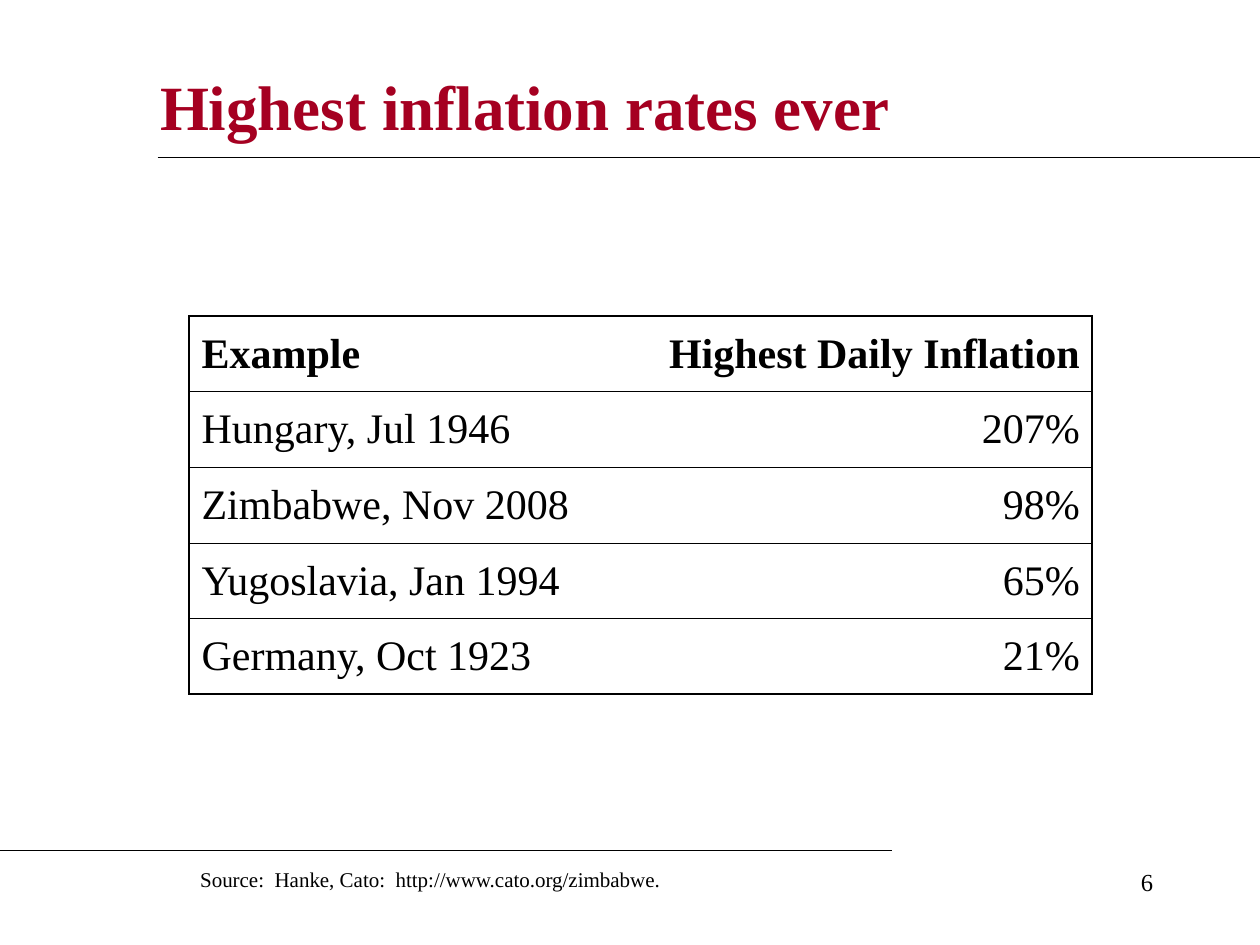
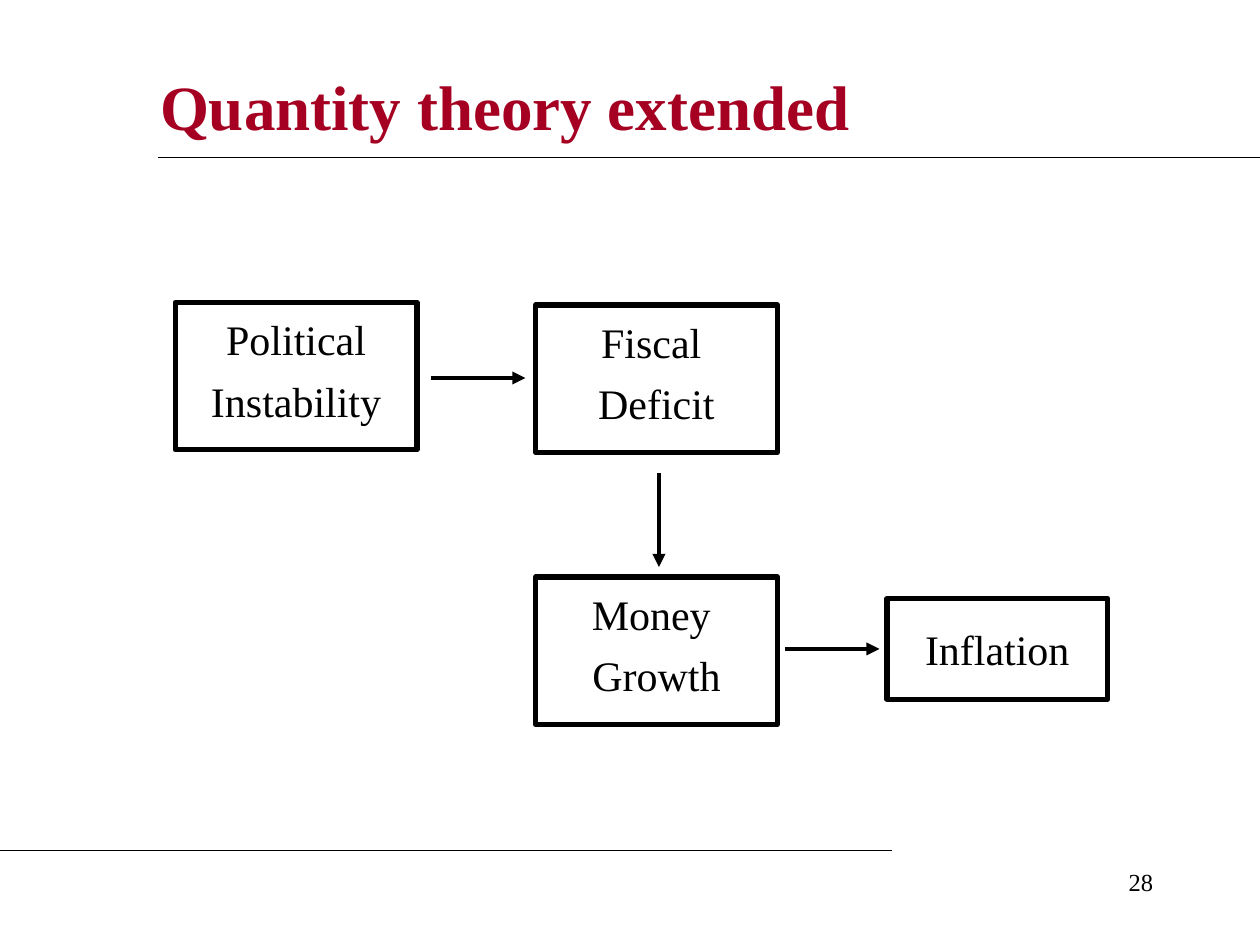
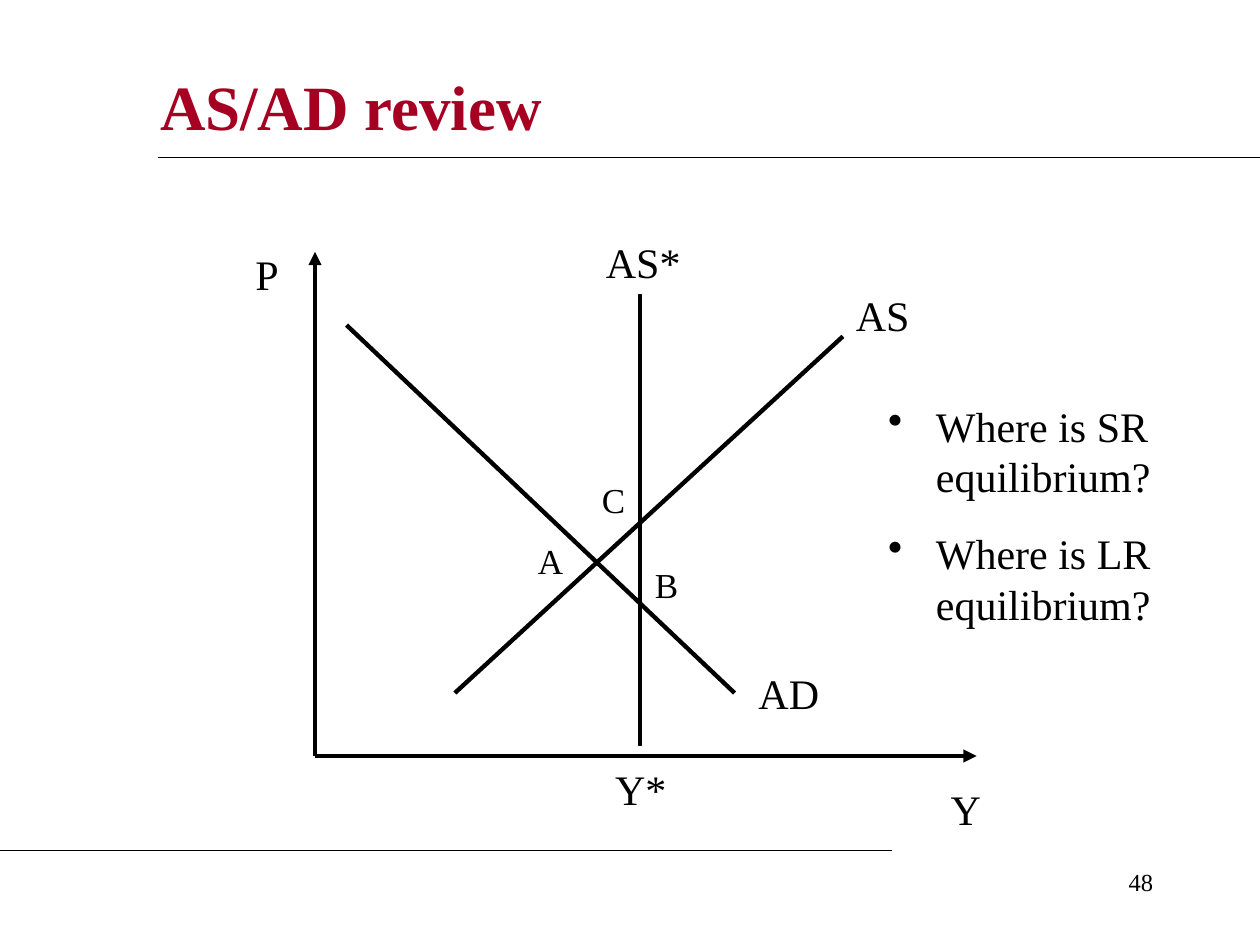
from pptx import Presentation
from pptx.dml.color import RGBColor
from pptx.enum.shapes import MSO_CONNECTOR, MSO_SHAPE
from pptx.enum.text import MSO_ANCHOR as ANCHOR, MSO_AUTO_SIZE, PP_ALIGN as ALIGN
from pptx.oxml.ns import qn
from pptx.util import Inches, Pt
from lxml.etree import SubElement


def rgb(color):
    return RGBColor.from_string(color)


class Deck:
    FONT = "Times New Roman"
    INK = "000000"
    ACCENT = "A50021"

    def __init__(self):
        self.prs = Presentation()
        self.prs.slide_width, self.prs.slide_height = Inches(10), Inches(7.5)

    def slide(self, title, number):
        self.s = self.prs.slides.add_slide(self.prs.slide_layouts[5])
        sp = self.s.shapes.title
        sp.left, sp.top, sp.width, sp.height = map(Inches, (1.17, 0.42, 8.08, 0.83))
        sp.text_frame.auto_size = MSO_AUTO_SIZE.NONE
        sp.text_frame.vertical_anchor = ANCHOR.MIDDLE
        self.fill_text(sp.text_frame, [title], 36, ALIGN.LEFT, self.ACCENT, True)
        self.line((1.25, 1.25), (10, 1.25), 0.75)
        self.line((0, 6.75), (7.08, 6.75), 0.75)
        self.text(str(number), 7.17, 6.83, 2.08, 0.5, 14, ALIGN.RIGHT)

    def fill_text(self, tf, lines, size, align, color=INK, bold=False, bullet=False, spacing=None):
        tf.word_wrap = True
        for i, line in enumerate(lines):
            p = tf.add_paragraph() if i else tf.paragraphs[0]
            if bullet:
                pPr = p._p.get_or_add_pPr()
                pPr.set("marL", str(Inches(0.38)))
                pPr.set("indent", str(-Inches(0.38)))
                SubElement(pPr, qn("a:buChar"), char="•")
            p.alignment = align
            p.space_before = Pt(15 if i else 0)
            if spacing:
                p.line_spacing = spacing
            r = p.add_run()
            r.text = line
            r.font.name, r.font.size, r.font.bold = self.FONT, Pt(size), bold
            r.font.color.rgb = rgb(color)

    def text(self, lines, x, y, w, h, size=24, align=ALIGN.CENTER, bullet=False):
        sp = self.s.shapes.add_textbox(*map(Inches, (x, y, w, h)))
        lines = [lines] if isinstance(lines, str) else lines
        self.fill_text(sp.text_frame, lines, size, align, bullet=bullet)

    def box(self, lines, x, y, w=1.92, h=1.17):
        sp = self.s.shapes.add_shape(MSO_SHAPE.RECTANGLE, *map(Inches, (x, y, w, h)))
        sp.shadow.inherit = False
        sp.fill.background()
        sp.line.color.rgb, sp.line.width = rgb(self.INK), Pt(3)
        tf = sp.text_frame
        tf.vertical_anchor = ANCHOR.TOP
        tf.margin_left = tf.margin_right = tf.margin_top = tf.margin_bottom = Inches(0.2)
        self.fill_text(tf, lines, 24, ALIGN.CENTER, spacing=0.7 if len(lines) > 1 else None)

    def line(self, start, end, width=2.5, arrow=False):
        c = self.s.shapes.add_connector(MSO_CONNECTOR.STRAIGHT, *map(Inches, start + end))
        c.line.color.rgb, c.line.width = rgb(self.INK), Pt(width)
        spPr = c._element.spPr
        if arrow:
            SubElement(spPr.get_or_add_ln(), qn("a:tailEnd"), type="triangle")
        SubElement(spPr, qn("a:effectLst"))

    def border(self, cell, side, width):
        ln = SubElement(cell._tc.get_or_add_tcPr(), qn(f"a:ln{side}"), w=str(Pt(width)))
        if width:
            fill = SubElement(ln, qn("a:solidFill"))
            SubElement(fill, qn("a:srgbClr"), val=self.INK)
        else:
            SubElement(ln, qn("a:noFill"))

    def table(self, rows, x, y, w, h):
        n, m = len(rows), len(rows[0])
        tbl = self.s.shapes.add_table(n, m, *map(Inches, (x, y, w, h))).table
        tbl.first_row = tbl.horz_banding = False
        outer, inner = 1.08, 0.45
        for i, row in enumerate(rows):
            for j, value in enumerate(row):
                cell = tbl.cell(i, j)
                cell.vertical_anchor = ANCHOR.MIDDLE
                self.border(cell, "L", 0 if j else outer)
                self.border(cell, "R", outer if j == m - 1 else 0)
                self.border(cell, "T", inner if i else outer)
                self.border(cell, "B", outer if i == n - 1 else inner)
                cell.fill.background()
                align = ALIGN.RIGHT if j else ALIGN.LEFT
                self.fill_text(cell.text_frame, [value], 24, align, bold=i == 0)


def inflation_rates(deck):
    deck.slide("Highest inflation rates ever", 6)
    deck.table([
        ("Example", "Highest Daily Inflation"),
        ("Hungary, Jul 1946", "207%"),
        ("Zimbabwe, Nov 2008", "98%"),
        ("Yugoslavia, Jan 1994", "65%"),
        ("Germany, Oct 1923", "21%"),
    ], 1.5, 2.51, 7.17, 3)
    deck.text("Source:  Hanke, Cato:  http://www.cato.org/zimbabwe.",
              1.49, 6.83, 3.93, 0.3, 12, ALIGN.LEFT)


def quantity_theory(deck):
    deck.slide("Quantity theory extended", 28)
    deck.box(["Political", "Instability"], 1.39, 2.4)
    deck.box(["Fiscal ", "Deficit"], 4.25, 2.42)
    deck.box(["Money ", "Growth"], 4.25, 4.58)
    deck.box(["Inflation"], 7.04, 4.75, 1.75, 0.8)
    for start, end in [((3.42, 3), (4.17, 3)),
                       ((5.23, 3.75), (5.23, 4.5)),
                       ((6.23, 5.15), (6.98, 5.15))]:
        deck.line(start, end, arrow=True)


def as_ad_review(deck):
    deck.slide("AS/AD review", 48)
    origin = (2.5, 6)
    for tip in [(7.75, 6), (2.5, 2)]:
        deck.line(origin, tip, arrow=True)
    for start, end in [((3.61, 5.5), (6.69, 2.67)),
                       ((5.83, 5.5), (2.75, 2.58)),
                       ((5.08, 5.92), (5.08, 2.33))]:
        deck.line(start, end)
    for label, x, y, w in [("Y", 7.33, 6.17, 0.67), ("P", 1.83, 1.92, 0.58),
                           ("AS", 6.67, 2.25, 0.67), ("AD", 5.8, 5.25, 0.92),
                           ("AS*", 4.69, 1.83, 0.83), ("Y*", 4.75, 6.01, 0.67)]:
        deck.text(label, x, y, w, 0.5)
    for point, x, y in [("A", 4.08, 4.23), ("B", 5, 4.42), ("C", 4.58, 3.75)]:
        deck.text(point, x, y, 0.58, 0.44, 20)
    deck.text(["Where is SR equilibrium?", "Where is LR equilibrium?"],
              6.95, 3.13, 2.42, 2.08, align=ALIGN.LEFT, bullet=True)


def main():
    deck = Deck()
    inflation_rates(deck)
    quantity_theory(deck)
    as_ad_review(deck)
    deck.prs.save("out.pptx")


if __name__ == "__main__":
    main()
